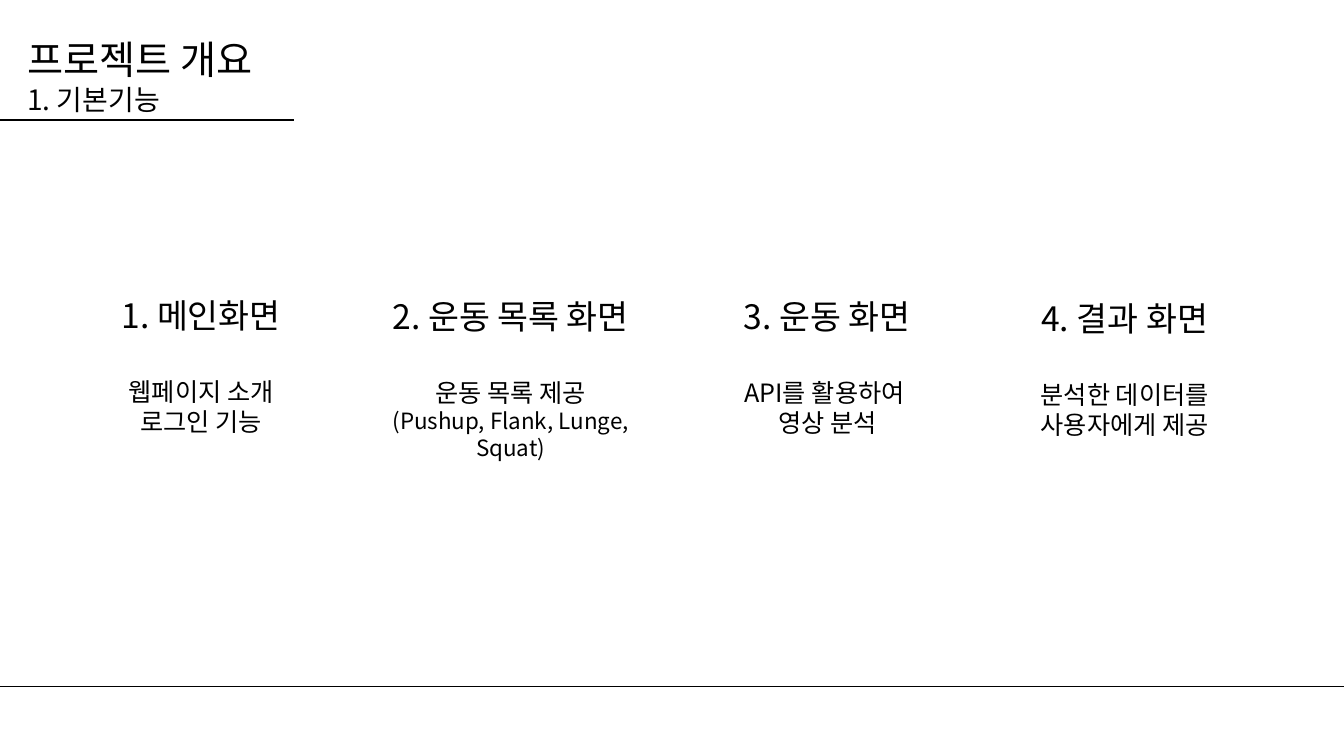
import pptx
import pptx.util
import pptx.dml.color
import pptx.enum.shapes
import pptx.enum.text
import pptx.oxml.ns
import lxml.etree

Inches = pptx.util.Inches
Pt = pptx.util.Pt
PP_ALIGN = pptx.enum.text.PP_ALIGN

FONT = "Noto Sans CJK KR"
COLORS = {"ink": "000000", "paper": "FFFFFF"}
LINE_HEIGHT = 1.2
WIDTH, HEIGHT = 13.33, 7.5

FEATURES = [
    ((0.79, 2.85, 2.41, 1.8),
     [("1. 메인화면", 24), ("웹페이지 소개", 18), ("로그인 기능", 18)]),
    ((3.46, 2.86, 3.21, 1.46),
     [("2. 운동 목록 화면", 24), ("운동 목록 제공", 18),
      ("(Pushup, Flank, Lunge, Squat)", 16)]),
    ((7, 2.86, 2.41, 1.5),
     [("3. 운동 화면", 24), ("API를 활용하여 ", 18), ("영상 분석", 18)]),
    ((9.95, 2.88, 2.41, 1.51),
     [("4. 결과 화면", 24), ("분석한 데이터를", 18), ("사용자에게 제공", 18)]),
]


def rgb(name):
    return pptx.dml.color.RGBColor.from_string(COLORS[name])


def add_rule(s, y, width, weight):
    line = s.shapes.add_connector(
        pptx.enum.shapes.MSO_CONNECTOR.STRAIGHT,
        Inches(0), Inches(y), Inches(width), Inches(y))
    line.line.color.rgb = rgb("ink")
    line.line.width = Pt(weight)
    lxml.etree.SubElement(line._element.spPr, pptx.oxml.ns.qn("a:effectLst"))


def write_lines(tf, lines, align, gap=0):
    tf.word_wrap = True
    tf.auto_size = pptx.enum.text.MSO_AUTO_SIZE.NONE
    tf.vertical_anchor = pptx.enum.text.MSO_ANCHOR.TOP
    tf.margin_left = tf.margin_right = Inches(0.1)
    tf.margin_top, tf.margin_bottom = Inches(0.08), Inches(0.05)
    for i, (text, size) in enumerate(lines):
        p = tf.add_paragraph() if i else tf.paragraphs[0]
        p.alignment = align
        p.line_spacing = Pt(size * LINE_HEIGHT)
        p.space_before = Pt(gap if i == 1 else 0)
        r = p.add_run()
        r.text = text
        r.font.name = FONT
        r.font.size = Pt(size)
        r.font.color.rgb = rgb("ink")
        ea = lxml.etree.SubElement(r.font._element, pptx.oxml.ns.qn("a:ea"))
        ea.set("typeface", FONT)


def add_header(s, box):
    title = s.shapes.title
    title.left, title.top, title.width, title.height = map(Inches, box)
    write_lines(title.text_frame, [("프로젝트 개요", 28), ("1. 기본기능", 20)],
                PP_ALIGN.LEFT)
    add_rule(s, box[1] + box[3] + 0.01, 2.92, 1.5)


def add_feature(s, box, lines):
    sp = s.shapes.add_textbox(*map(Inches, box))
    write_lines(sp.text_frame, lines, PP_ALIGN.CENTER, gap=24 * LINE_HEIGHT)


def main():
    prs = pptx.Presentation()
    prs.slide_width, prs.slide_height = Inches(WIDTH), Inches(HEIGHT)
    s = prs.slides.add_slide(prs.slide_layouts.get_by_name("Title Only"))
    s.background.fill.solid()
    s.background.fill.fore_color.rgb = rgb("paper")
    add_rule(s, 6.81, WIDTH, 0.5)
    add_header(s, (0.17, 0.27, 3.38, 0.91))
    for box, lines in FEATURES:
        add_feature(s, box, lines)
    prs.save("out.pptx")


if __name__ == "__main__":
    main()
